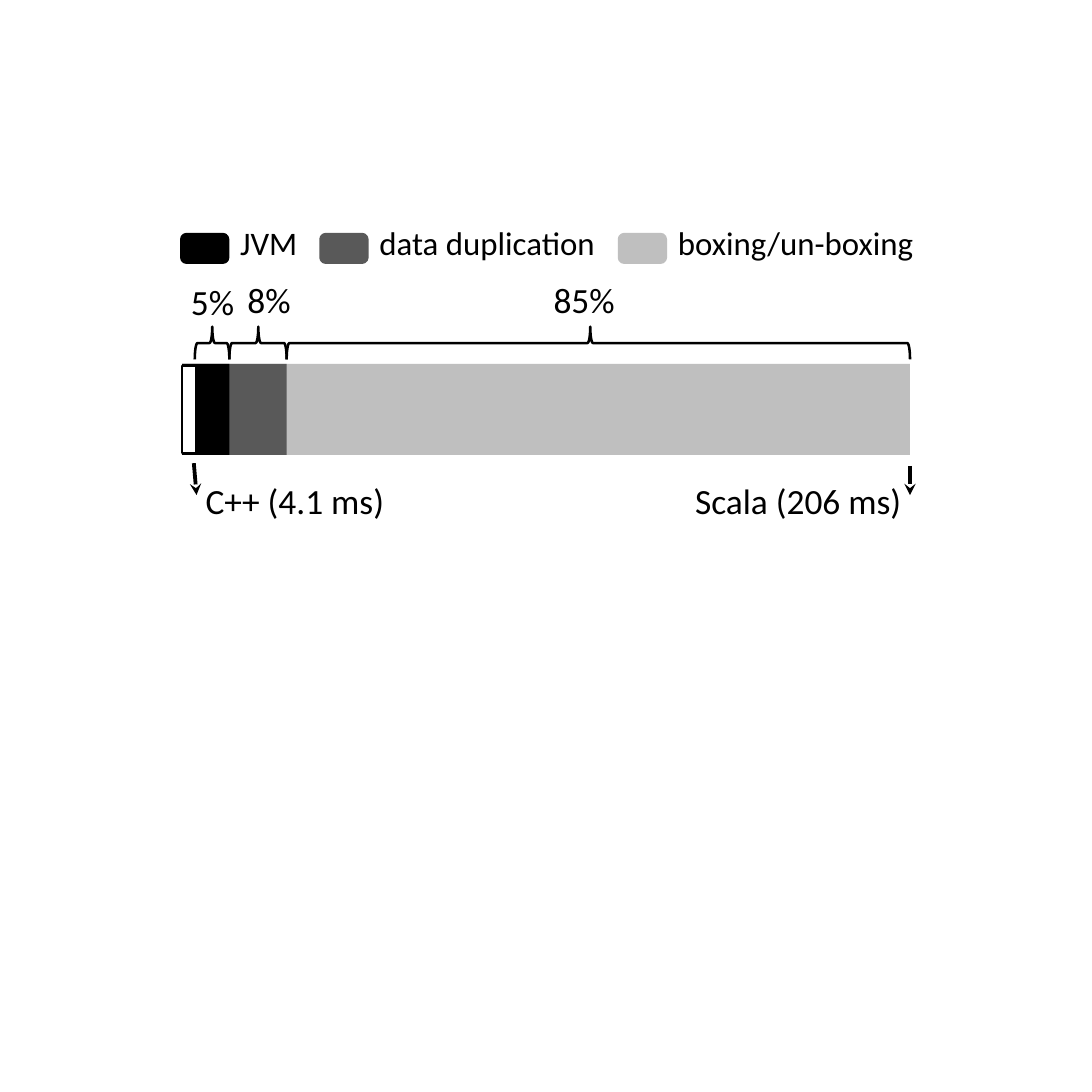
from dataclasses import dataclass

from lxml.etree import SubElement
from pptx import Presentation
from pptx.dml.color import RGBColor as Color
from pptx.enum.shapes import MSO_CONNECTOR as Connector, MSO_SHAPE as Preset
from pptx.enum.text import MSO_AUTO_SIZE as AutoSize, PP_ALIGN as Align
from pptx.oxml.ns import qn
from pptx.util import Inches, Pt


@dataclass(frozen=True)
class Theme:
    font: str = "Calibri"
    ink: str = "000000"
    paper: str = "FFFFFF"
    jvm: str = "000000"
    duplication: str = "595959"
    boxing: str = "BFBFBF"
    label_size: int = 28
    legend_size: int = 26
    thin: int = 2
    thick: int = 3


@dataclass(frozen=True)
class Box:
    """Area in grid cells; inner boxes are placed from its top left corner."""
    left: float
    top: float
    width: float
    height: float

    def inner(self, left, top, width, height):
        return Box(self.left + left, self.top + top, width, height)

    def lengths(self):
        return [Inches(cells * CELL)
                for cells in (self.left, self.top, self.width, self.height)]


THEME = Theme()
SIDE = 12          # slide side in inches
GRID = 12          # columns and rows on the slide
CELL = SIDE / GRID

# Right edge of each part of the bar, in columns from its left edge
CPP_END, JVM_END, DUPLICATION_END, BAR_END = 0.14, 0.52, 1.15, 8


def add_text(shapes, box, text, size=THEME.label_size, color=THEME.ink,
             align=Align.LEFT):
    frame = shapes.add_textbox(*box.lengths()).text_frame
    frame.word_wrap = True
    frame.auto_size = AutoSize.SHAPE_TO_FIT_TEXT
    para = frame.paragraphs[0]
    para.alignment = align
    span = para.add_run()
    span.text = text
    span.font.name = THEME.font
    span.font.size = Pt(size)
    span.font.color.rgb = Color.from_string(color)


def add_preset(shapes, preset, box, fill=None, line=None, weight=THEME.thin):
    shape = shapes.add_shape(preset, *box.lengths())
    shape.shadow.inherit = False
    if fill:
        shape.fill.solid()
        shape.fill.fore_color.rgb = Color.from_string(fill)
    else:
        shape.fill.background()
    if line:
        shape.line.color.rgb = Color.from_string(line)
        shape.line.width = Pt(weight)
    else:
        shape.line.fill.background()
    return shape


def add_brace(shapes, box, peak):
    """Upward brace filling the box: a left brace turned by a quarter."""
    upright = box.inner((box.width - box.height) / 2,
                        (box.height - box.width) / 2, box.height, box.width)
    brace = add_preset(shapes, Preset.LEFT_BRACE, upright, line=THEME.ink)
    brace.rotation = 90
    brace.adjustments[0] = 0.083
    brace.adjustments[1] = peak


def add_arrow(shapes, box):
    """Arrow from the top left to the bottom right corner of the box."""
    left, top, width, height = box.lengths()
    arrow = shapes.add_connector(Connector.STRAIGHT, left, top,
                                 left + width, top + height)
    arrow.line.color.rgb = Color.from_string(THEME.ink)
    arrow.line.width = Pt(THEME.thick)
    SubElement(arrow.line._get_or_add_ln(), qn("a:tailEnd"), type="stealth")
    SubElement(arrow._element.spPr, qn("a:effectLst"))


def draw_legend(page, area):
    group = page.shapes.add_group_shape()
    entries = [("JVM", THEME.jvm, 0, 2.03),
               ("data duplication", THEME.duplication, 1.53, 3.08),
               ("boxing/un-boxing", THEME.boxing, 4.81, 3.08)]
    for name, color, left, width in entries:
        add_text(group.shapes, area.inner(left + 0.54, 0, width, 0.54), name,
                 size=THEME.legend_size)
        add_preset(group.shapes, Preset.ROUNDED_RECTANGLE,
                   area.inner(left, 0.18, 0.5, 0.3), fill=color, line=color,
                   weight=THEME.thick)


def draw_shares(page, area):
    shares = [("5%", CPP_END, JVM_END, 0.495, (0, 0.02, 0.91), Align.LEFT),
              ("8% ", JVM_END, DUPLICATION_END, 0.495, (0.62, 0, 1.18), Align.LEFT),
              ("85% ", DUPLICATION_END, BAR_END, 0.513, (3.96, 0, 0.98), Align.RIGHT)]
    for text, start, end, peak, (left, top, width), align in shares:
        add_brace(page.shapes, area.inner(start, 0.58, end - start, 0.36), peak)
        add_text(page.shapes, area.inner(left, top, width, 0.57), text, align=align)


def draw_bar(page, area):
    # Longest part first, each shorter one on top of it
    for end, color in [(BAR_END, THEME.boxing),
                       (DUPLICATION_END, THEME.duplication),
                       (JVM_END, THEME.jvm)]:
        add_preset(page.shapes, Preset.RECTANGLE,
                   area.inner(0, 0, end, area.height), fill=color)
    add_preset(page.shapes, Preset.RECTANGLE,
               area.inner(0, 0.02, 0.16, area.height - 0.04),
               fill=THEME.paper, line=THEME.ink)


def draw_times(page, area):
    add_arrow(page.shapes, area.inner(0.13, 0, 0.03, 0.35))
    add_text(page.shapes, area.inner(0.16, 0.13, 2.31, 0.57), "C++ (4.1 ms)")
    add_arrow(page.shapes, area.inner(BAR_END, 0.03, 0, 0.32))
    add_text(page.shapes, area.inner(2.59, 0.13, 5.41, 0.57), "Scala (206 ms)",
             align=Align.RIGHT)


deck = Presentation()
deck.slide_width = deck.slide_height = Inches(SIDE)
page = deck.slides.add_slide(deck.slide_layouts[6])

draw_bar(page, Box(2, 4, BAR_END, 1))
draw_times(page, Box(2, 5.09, BAR_END, 0.7))
draw_shares(page, Box(2, 3.01, BAR_END, 0.94))
draw_legend(page, Box(2, 2.4, BAR_END, 0.54))

deck.save("out.pptx")
